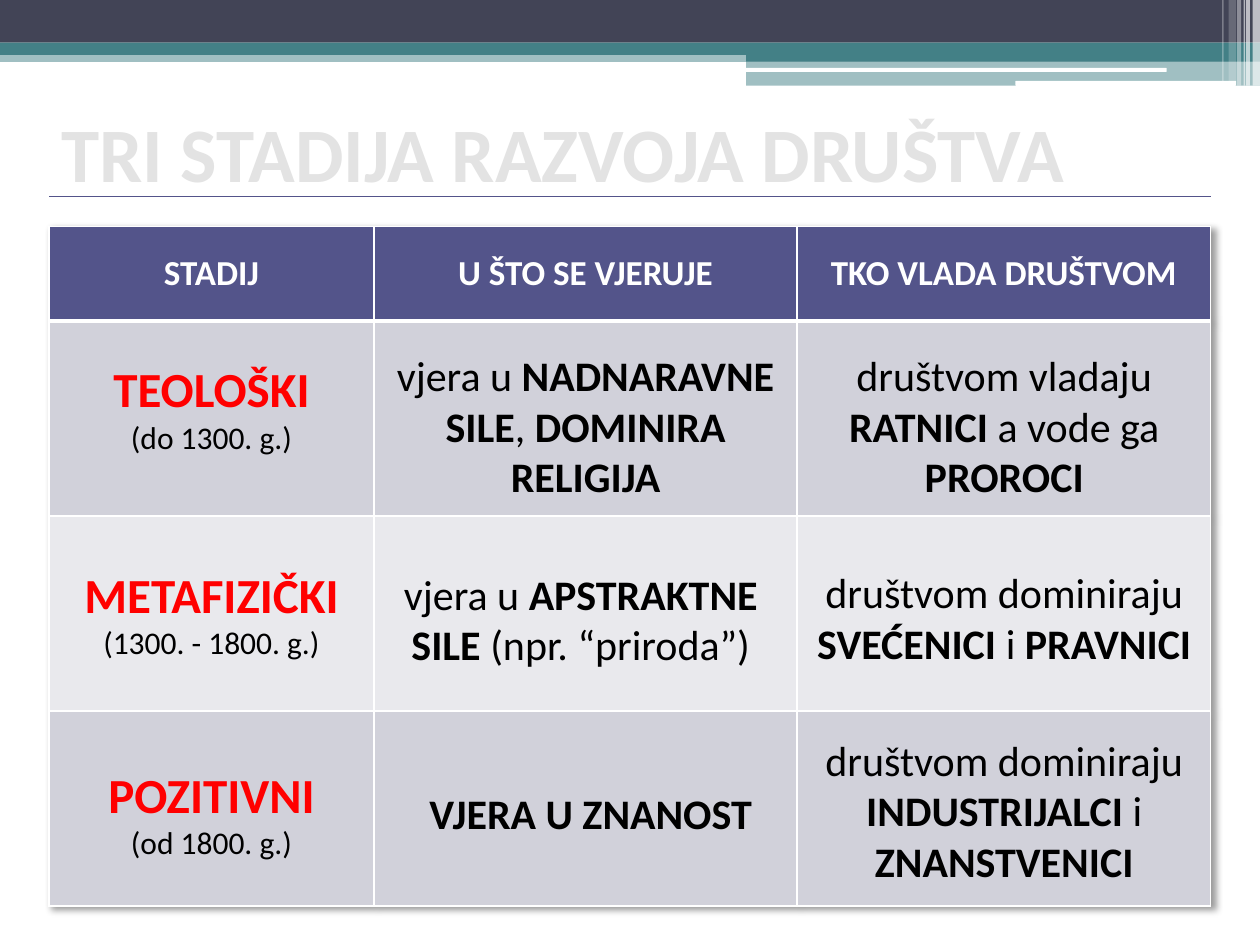
from typing import NamedTuple

from lxml.etree import SubElement
from pptx import Presentation
from pptx.dml.color import RGBColor
from pptx.enum.shapes import MSO_CONNECTOR, MSO_SHAPE
from pptx.enum.text import MSO_ANCHOR, MSO_AUTO_SIZE, PP_ALIGN
from pptx.oxml import parse_xml
from pptx.oxml.ns import nsdecls, qn
from pptx.util import Cm, Pt

FONT = "Calibri"
WHITE, BLACK, RED = "FFFFFF", "000000", "FF0000"
NAVY, TEAL, VIOLET = "424456", "438086", "53548A"
TITLE_GREY, BAND_DARK, BAND_LIGHT = "E3E3E3", "D1D1DA", "E9E9ED"

LEFT, TABLE_TOP = 0.99, 4.57
COL_WIDTHS = (6.55, 8.53, 8.33)
ROW_HEIGHTS = (1.9, 3.93, 3.93, 3.93)
HEADERS = ("STADIJ", "U ŠTO SE VJERUJE", "TKO VLADA DRUŠTVOM")


class Bar(NamedTuple):
    x: float
    y: float
    w: float
    h: float
    color: str
    alpha: int = 100
    rounded: bool = False


class Run(NamedTuple):
    text: str
    bold: bool = False
    size: int = 24
    color: str = BLACK


class Box(NamedTuple):
    x: float
    y: float
    w: float
    h: float
    paragraphs: list[list[Run]]


BARS = [
    Bar(0, 1.02, 25.4, 0.23, TEAL, 50),
    Bar(0, 0, 25.4, 0.86, NAVY),
    Bar(0, 0.86, 25.4, 0.25, TEAL),
    Bar(15.04, 0.99, 10.36, 0.25, TEAL),
    Bar(15.04, 1.22, 10.36, 0.51, TEAL, 50),
    Bar(15.01, 1.37, 8.51, 0.08, WHITE, rounded=True),
    Bar(20.47, 1.63, 4.45, 0.1, WHITE, rounded=True),
    Bar(25.25, 0, 0.15, 1.73, WHITE, 65),
    Bar(25.12, 0, 0.08, 1.73, WHITE, 65),
    Bar(25.07, 0, 0.03, 1.73, WHITE, 60),
    Bar(24.94, 0, 0.08, 1.73, WHITE, 40),
    Bar(24.77, 0, 0.15, 1.63, WHITE, 20),
    Bar(24.64, 0, 0.03, 1.63, WHITE, 30),
]


def stage(y: float, name: str, years: str) -> Box:
    return Box(LEFT, y, COL_WIDTHS[0], 2.24,
               [[Run(name, True, 28, RED)], [Run(years, size=18)]])


BOXES = [
    stage(7.11, "TEOLOŠKI", "(do 1300. g.)"),
    Box(7.54, 6.93, 8.53, 3.33, [[
        Run("vjera u "), Run("NADNARAVNE SILE", True), Run(", "),
        Run("DOMINIRA RELIGIJA", True)]]),
    Box(16.08, 6.93, 8.33, 3.33, [[
        Run("društvom vladaju "), Run("RATNICI", True), Run(" a vode ga "),
        Run("PROROCI", True)]]),
    stage(11.25, "METAFIZIČKI", "(1300. - 1800. g.)"),
    Box(7.75, 11.33, 7.92, 2.31, [[
        Run("vjera u "), Run("APSTRAKTNE SILE ", True),
        Run("(npr. “priroda”)")]]),
    Box(16.08, 11.3, 8.33, 2.31, [
        [Run("društvom dominiraju")],
        [Run("SVEĆENICI", True), Run(" i "), Run("PRAVNICI", True)]]),
    stage(15.29, "POZITIVNI", "(od 1800. g.)"),
    Box(7.95, 15.75, 7.92, 1.27, [[Run("VJERA U ZNANOST", True)]]),
    Box(16.08, 14.68, 8.33, 3.33, [[
        Run("društvom dominiraju "), Run("INDUSTRIJALCI ", True), Run("i "),
        Run("ZNANSTVENICI", True)]]),
]


def paint(color_format, color: str) -> None:
    color_format.rgb = RGBColor.from_string(color)


def fill_solid(fill, color: str) -> None:
    fill.solid()
    paint(fill.fore_color, color)


def add_bar(slide, bar: Bar) -> None:
    kind = MSO_SHAPE.ROUNDED_RECTANGLE if bar.rounded else MSO_SHAPE.RECTANGLE
    sp = slide.shapes.add_shape(kind, Cm(bar.x), Cm(bar.y), Cm(bar.w), Cm(bar.h))
    sp.shadow.inherit = False
    sp.line.fill.background()
    fill_solid(sp.fill, bar.color)
    if bar.alpha < 100:
        clr = sp.fill._xPr.find(qn("a:solidFill"))[0]
        SubElement(clr, qn("a:alpha"), val=str(bar.alpha * 1000))


def write(tf, paragraphs: list[list[Run]], align: PP_ALIGN) -> None:
    for i, runs in enumerate(paragraphs):
        p = tf.add_paragraph() if i else tf.paragraphs[0]
        p.alignment = align
        for run in runs:
            r = p.add_run()
            r.text = run.text
            r.font.name = FONT
            r.font.size = Pt(run.size)
            r.font.bold = run.bold
            paint(r.font.color, run.color)


def add_text(slide, box: Box, align: PP_ALIGN = PP_ALIGN.CENTER):
    sp = slide.shapes.add_textbox(Cm(box.x), Cm(box.y), Cm(box.w), Cm(box.h))
    tf = sp.text_frame
    tf.word_wrap = True
    write(tf, box.paragraphs, align)
    return tf


def set_borders(cell, **widths: float) -> None:
    """Draw white borders; sides are given in the order L, R, T, B."""
    tc_pr = cell._tc.get_or_add_tcPr()
    for i, (side, width) in enumerate(widths.items()):
        tc_pr.insert(i, parse_xml(
            f'<a:ln{side} {nsdecls("a")} w="{Pt(width)}"><a:solidFill>'
            f'<a:srgbClr val="{WHITE}"/></a:solidFill></a:ln{side}>'))


def add_stage_table(slide) -> None:
    frame = slide.shapes.add_table(
        len(ROW_HEIGHTS), len(COL_WIDTHS), Cm(LEFT), Cm(TABLE_TOP),
        Cm(sum(COL_WIDTHS)), Cm(sum(ROW_HEIGHTS)))
    table = frame.table
    for column, width in zip(table.columns, COL_WIDTHS):
        column.width = Cm(width)
    for i, (row, height) in enumerate(zip(table.rows, ROW_HEIGHTS)):
        row.height = Cm(height)
        color = VIOLET if i == 0 else BAND_DARK if i % 2 else BAND_LIGHT
        for cell in row.cells:
            fill_solid(cell.fill, color)
            set_borders(cell, L=1, R=1, T=3 if i == 1 else 1, B=1 if i else 3)
    for cell, header in zip(table.rows[0].cells, HEADERS):
        cell.vertical_anchor = MSO_ANCHOR.MIDDLE
        write(cell.text_frame, [[Run(header, True, 20, WHITE)]], PP_ALIGN.CENTER)
    table._tbl.tblPr.insert(0, parse_xml(
        f'<a:effectLst {nsdecls("a")}><a:outerShdw blurRad="50800" dist="38100" '
        'dir="2700000" algn="tl" rotWithShape="0"><a:srgbClr val="000000">'
        '<a:alpha val="40000"/></a:srgbClr></a:outerShdw></a:effectLst>'))


def add_title(slide) -> None:
    line = slide.shapes.add_connector(
        MSO_CONNECTOR.STRAIGHT, Cm(LEFT), Cm(3.96), Cm(24.41), Cm(3.96))
    paint(line.line.color, VIOLET)
    line.line.width = Pt(0.75)
    SubElement(line._element.spPr, qn("a:effectLst"))
    title = Run("TRI STADIJA RAZVOJA DRUŠTVA", True, 44, TITLE_GREY)
    tf = add_text(slide, Box(LEFT, 1.57, 23.14, 2.97, [[title]]), PP_ALIGN.LEFT)
    tf.vertical_anchor = MSO_ANCHOR.MIDDLE


def main() -> None:
    prs = Presentation()
    prs.slide_width, prs.slide_height = Cm(25.4), Cm(19.05)
    slide = prs.slides.add_slide(prs.slide_layouts[6])
    for bar in BARS:
        add_bar(slide, bar)
    add_stage_table(slide)
    add_title(slide)
    for box in BOXES:
        add_text(slide, box).auto_size = MSO_AUTO_SIZE.SHAPE_TO_FIT_TEXT
    prs.save("out.pptx")


if __name__ == "__main__":
    main()
